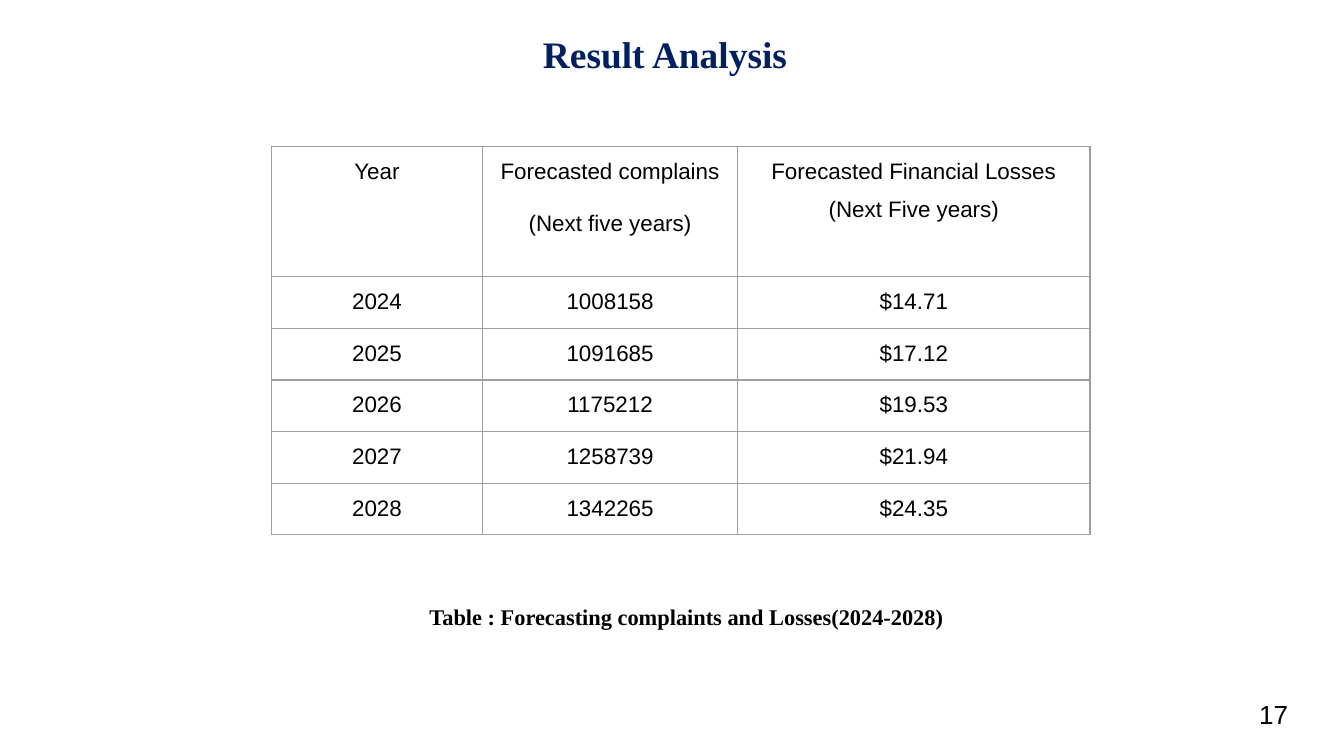
from dataclasses import dataclass

from lxml import etree
from pptx import Presentation
from pptx.dml.color import RGBColor
from pptx.enum import text as t
from pptx.oxml import ns
from pptx.util import Inches, Pt


@dataclass(frozen=True)
class Theme:
    heading_font: str = "Times New Roman"
    body_font: str = "Arial"
    navy: str = "002060"
    black: str = "000000"
    border: str = "9E9E9E"
    border_width: float = 0.75
    title_size: int = 20
    number_size: int = 14
    text_size: int = 12


THEME = Theme()
COLUMN_WIDTHS = (1.57, 1.9, 2.62)
HEADER_HEIGHT = 0.97
FORECAST = [
    ("Year", "Forecasted complains\n(Next five years)",
     "Forecasted Financial Losses (Next Five years)"),
    ("2024", "1008158", "$14.71"),
    ("2025", "1091685", "$17.12"),
    ("2026", "1175212", "$19.53"),
    ("2027", "1258739", "$21.94"),
    ("2028", "1342265", "$24.35"),
]


def format_runs(paragraph, font_name, size, color, bold=False):
    for run in paragraph.runs:
        run.font.name = font_name
        run.font.size = Pt(size)
        run.font.bold = bold
        run.font.color.rgb = RGBColor.from_string(color)


def add_title(slide, left, top, width, height):
    title = slide.shapes.title
    title.left, title.top = Inches(left), Inches(top)
    title.width, title.height = Inches(width), Inches(height)
    frame = title.text_frame
    frame.text = "Result Analysis"
    frame.word_wrap = False
    frame.auto_size = t.MSO_AUTO_SIZE.SHAPE_TO_FIT_TEXT
    frame.vertical_anchor = t.MSO_ANCHOR.TOP
    paragraph = frame.paragraphs[0]
    paragraph.alignment = t.PP_ALIGN.LEFT
    format_runs(paragraph, THEME.heading_font, THEME.title_size, THEME.navy, True)


def add_label(slide, box, label, font_name, size, bold=False,
              alignment=t.PP_ALIGN.LEFT, anchor=t.MSO_ANCHOR.TOP):
    shape = slide.shapes.add_textbox(*(Inches(length) for length in box))
    frame = shape.text_frame
    frame.text = label
    frame.word_wrap = True
    frame.vertical_anchor = anchor
    paragraph = frame.paragraphs[0]
    paragraph.alignment = alignment
    format_runs(paragraph, font_name, size, THEME.black, bold)


def set_borders(cell):
    properties = cell._tc.get_or_add_tcPr()
    for side in ("lnL", "lnR", "lnT", "lnB"):
        line = etree.SubElement(properties, ns.qn(f"a:{side}"),
                                w=str(Pt(THEME.border_width)))
        fill = etree.SubElement(line, ns.qn("a:solidFill"))
        etree.SubElement(fill, ns.qn("a:srgbClr"), val=THEME.border)


def format_cell(cell, content):
    cell.text = content
    cell.margin_left = cell.margin_right = Inches(0.07)
    cell.margin_top = cell.margin_bottom = 0
    cell.vertical_anchor = t.MSO_ANCHOR.TOP
    set_borders(cell)
    cell.fill.background()
    for paragraph in cell.text_frame.paragraphs:
        paragraph.alignment = t.PP_ALIGN.CENTER
        paragraph.line_spacing = 1.5
        paragraph.space_after = Pt(8)
        format_runs(paragraph, THEME.body_font, THEME.text_size, THEME.black)


def add_forecast_table(slide, left, top, height):
    """Give the header its own height and share the rest among the years."""
    row_height = (height - HEADER_HEIGHT) / (len(FORECAST) - 1)
    table = slide.shapes.add_table(
        len(FORECAST), len(COLUMN_WIDTHS), Inches(left), Inches(top),
        Inches(sum(COLUMN_WIDTHS)), Inches(height)).table
    table.first_row = table.horz_banding = False
    for column, width in zip(table.columns, COLUMN_WIDTHS):
        column.width = Inches(width)
    for index, (row, values) in enumerate(zip(table.rows, FORECAST)):
        row.height = Inches(row_height if index else HEADER_HEIGHT)
        for cell, content in zip(row.cells, values):
            format_cell(cell, content)


def build_result_slide(presentation):
    slide = presentation.slides.add_slide(presentation.slide_layouts[5])
    add_label(slide, (9.27, 5.1, 0.6, 0.43), "17", THEME.body_font,
              THEME.number_size, anchor=t.MSO_ANCHOR.MIDDLE)
    add_title(slide, 3.94, 0.18, 2.05, 0.44)
    add_label(slide, (2.19, 4.44, 5.84, 0.3),
              "Table : Forecasting complaints and Losses(2024-2028)",
              THEME.heading_font, THEME.text_size, bold=True,
              alignment=t.PP_ALIGN.CENTER)
    add_forecast_table(slide, 2.02, 1.09, 2.89)


def main():
    presentation = Presentation()
    presentation.slide_width = Inches(10)
    presentation.slide_height = presentation.slide_width * 9 // 16
    build_result_slide(presentation)
    presentation.save("out.pptx")


if __name__ == "__main__":
    main()
